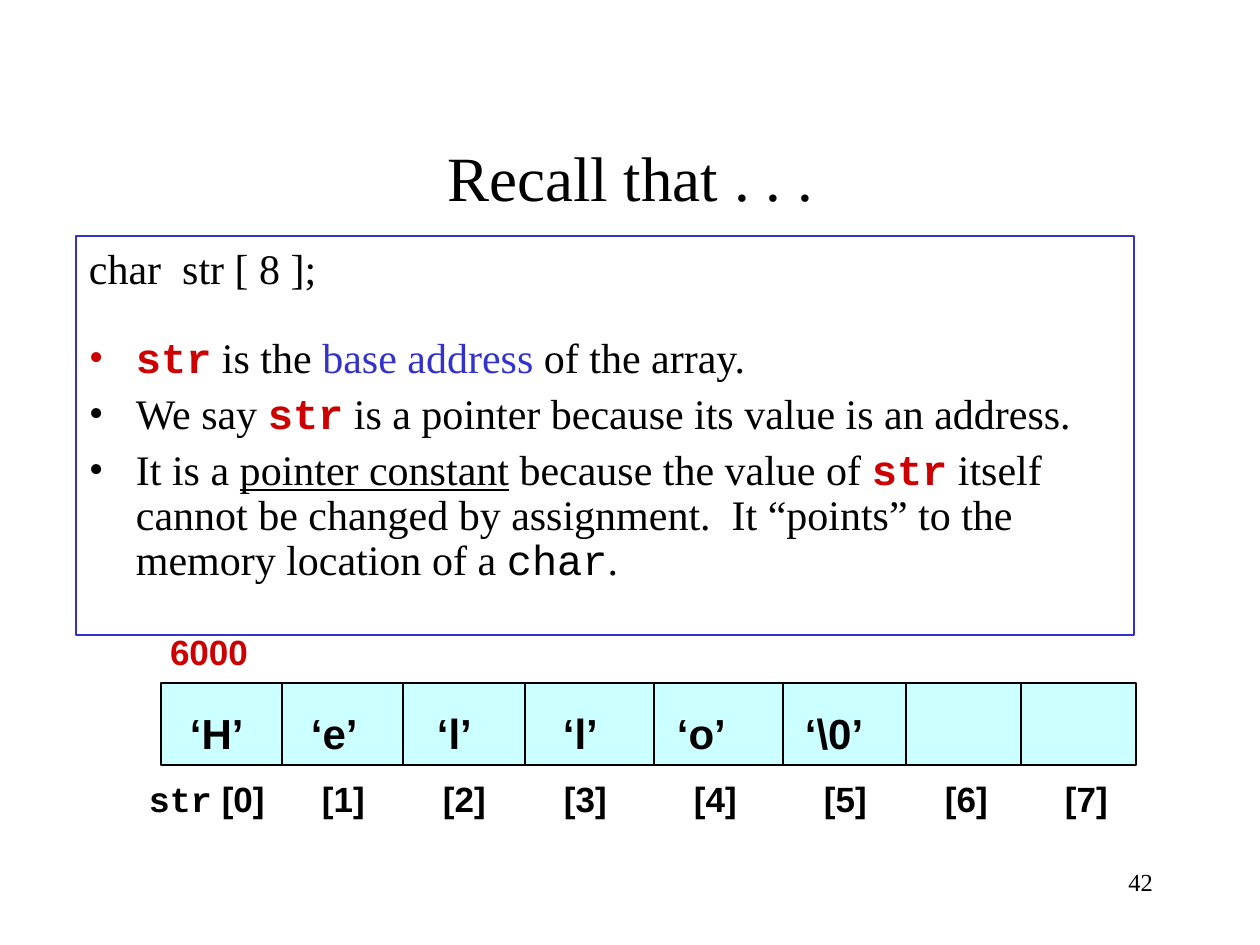
import lxml.etree
import pptx
import pptx.dml.color
import pptx.enum.shapes
import pptx.enum.text
import pptx.oxml.ns
import pptx.util

SCALE = 914400 / 126
COLORS = {"black": "000000", "red": "CC0000", "blue": "3333CC", "cell": "CCFFFF"}
SERIF, SANS, MONO = "Times New Roman", "Arial", "Courier New"
ALIGN = pptx.enum.text.PP_ALIGN
ANCHOR = pptx.enum.text.MSO_ANCHOR
CODE = {"font": MONO, "color": "red", "bold": True}


def px(length):
    return pptx.util.Emu(round(length * SCALE))


def rgb(name):
    return pptx.dml.color.RGBColor.from_string(COLORS[name])


def add_run(paragraph, text, size=24, font=SERIF, color="black", bold=False, underline=False):
    run = paragraph.add_run()
    run.text = text
    run.font.size = pptx.util.Pt(size)
    run.font.name = font
    run.font.bold = bold
    run.font.underline = underline
    run.font.color.rgb = rgb(color)


def set_frame(frame, insets, anchor=ANCHOR.TOP):
    frame.word_wrap = True
    frame.vertical_anchor = anchor
    frame.margin_left = frame.margin_right = px(insets[0])
    frame.margin_top = frame.margin_bottom = px(insets[1])


def add_text(slide, box, runs, align=ALIGN.LEFT, insets=(13, 6), anchor=ANCHOR.TOP):
    shape = slide.shapes.add_textbox(*map(px, box))
    set_frame(shape.text_frame, insets, anchor)
    paragraph = shape.text_frame.paragraphs[0]
    paragraph.alignment = align
    for text, style in runs:
        add_run(paragraph, text, **style)


def add_rectangle(slide, box, line, width, fill=None):
    shape = slide.shapes.add_shape(pptx.enum.shapes.MSO_SHAPE.RECTANGLE, *map(px, box))
    shape.shadow.inherit = False
    if fill:
        shape.fill.solid()
        shape.fill.fore_color.rgb = rgb(fill)
    else:
        shape.fill.background()
    shape.line.color.rgb = rgb(line)
    shape.line.width = pptx.util.Pt(width)
    return shape


def add_divider(slide, x, top, height):
    line = slide.shapes.add_connector(
        pptx.enum.shapes.MSO_CONNECTOR.STRAIGHT, px(x), px(top), px(x), px(top + height))
    line.line.color.rgb = rgb("black")
    line.line.width = pptx.util.Pt(1)
    properties = line._element.spPr
    lxml.etree.SubElement(properties, pptx.oxml.ns.qn("a:effectLst"))


def set_bullet(paragraph, color):
    properties = paragraph._p.get_or_add_pPr()
    properties.set("marL", str(px(47)))
    properties.set("indent", str(-px(47)))
    bullet_color = lxml.etree.SubElement(properties, pptx.oxml.ns.qn("a:buClr"))
    lxml.etree.SubElement(bullet_color, pptx.oxml.ns.qn("a:srgbClr"), val=COLORS[color])
    lxml.etree.SubElement(properties, pptx.oxml.ns.qn("a:buFont"), typeface=SERIF)
    lxml.etree.SubElement(properties, pptx.oxml.ns.qn("a:buChar"), char="•")


def add_explanation(slide, box):
    declaration = [("char  str [ 8 ];", {})]
    points = [
        ("red", 25, [("str", CODE), (" is the ", {}), ("base address ", {"color": "blue"}),
                     ("of the array.", {})]),
        ("black", 6, [("We say ", {}), ("str", CODE),
                      (" is a pointer because its value is an address.", {})]),
        ("black", 6, [("It is a ", {}), ("pointer constant", {"underline": True}),
                      (" because the value of ", {}), ("str", CODE),
                      (" itself cannot be changed by assignment.  It “points” to the "
                       "memory location of a ", {}),
                      ("char", {"font": MONO}), (".", {})]),
    ]
    frame = add_rectangle(slide, box, "blue", 0.75).text_frame
    set_frame(frame, (13, 12))
    for bullet, space, runs in [(None, 0, declaration), *points]:
        paragraph = frame.add_paragraph() if bullet else frame.paragraphs[0]
        paragraph.alignment = ALIGN.LEFT
        paragraph.line_spacing = 0.9
        paragraph.space_before = pptx.util.Pt(space)
        if bullet:
            set_bullet(paragraph, bullet)
        for text, style in runs:
            add_run(paragraph, text, **style)


def add_label(slide, x, y, runs, size, color="black", width=76):
    style = {"size": size, "color": color, "bold": True}
    styled = [(text, {**style, "font": font}) for text, font in runs]
    add_text(slide, (x, y, width, size * 2), styled, insets=(0, 0))


def add_memory(slide, box):
    left, top, width, height = box
    split = 622
    index_top = top + 95
    add_rectangle(slide, (left, top, split, height), "black", 1, "cell")
    add_rectangle(slide, (left + split, top, width - split, height), "black", 1, "cell")
    for offset in (121, 242, 364, 493, 745, 860):
        add_divider(slide, left + offset, top, height)

    add_label(slide, left + 9, top - 52, [("6000", SANS)], 20, "red", width=110)
    values = ["‘H’", "‘e’", "‘l’", "‘l’", "‘o’", "‘\\0’"]
    for offset, value in zip((29, 150, 276, 402, 516, 644), values):
        add_label(slide, left + offset, top + 25, [(value, SANS)], 24)
    add_label(slide, left - 12, index_top, [("str", MONO), (" [0]", SANS)], 20, width=150)
    for index, offset in enumerate((161, 282, 403, 533, 663, 784, 904), start=1):
        add_label(slide, left + offset, index_top, [(f"[{index}]", SANS)], 20)


def main():
    presentation = pptx.Presentation()
    presentation.slide_width = px(1260)
    presentation.slide_height = px(945)
    slide = presentation.slides.add_slide(presentation.slide_layouts[6])
    add_text(slide, (904, 861, 262, 63), [("42", {"size": 14})], ALIGN.RIGHT)
    add_text(slide, (95, 62, 1071, 158), [("Recall that . . .", {"size": 36})],
             ALIGN.CENTER, anchor=ANCHOR.BOTTOM)
    add_explanation(slide, (76, 236, 1058, 399))
    add_memory(slide, (161, 683, 975, 82))
    presentation.save("out.pptx")


if __name__ == "__main__":
    main()
